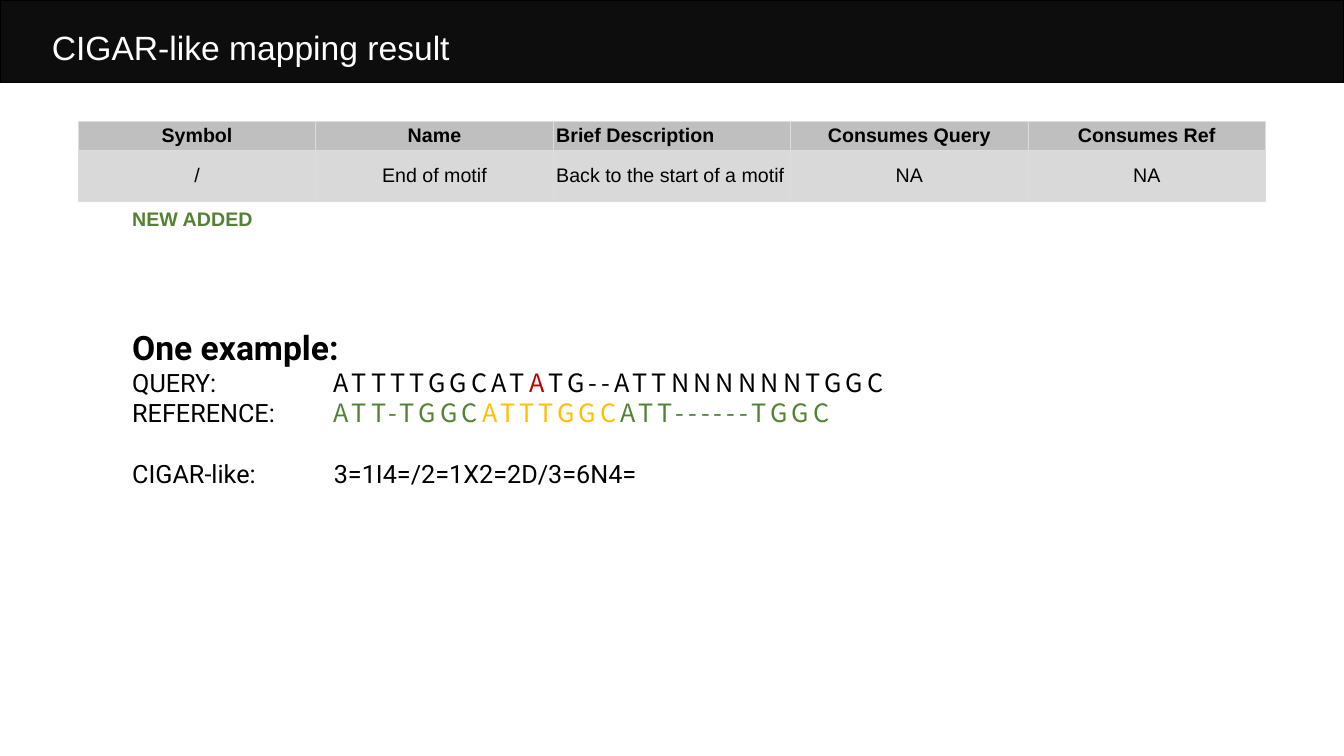
from lxml.etree import SubElement
from pptx import Presentation
from pptx.dml.color import RGBColor
from pptx.enum.shapes import MSO_SHAPE as Shape
from pptx.enum.text import MSO_ANCHOR as Anchor, PP_ALIGN as Align
from pptx.oxml.ns import qn
from pptx.util import Inches, Pt

BLACK = RGBColor(0x00, 0x00, 0x00)
WHITE = RGBColor(0xFF, 0xFF, 0xFF)
BANNER = RGBColor(0x0D, 0x0D, 0x0D)
HEADER_GREY = RGBColor(0xBF, 0xBF, 0xBF)
ROW_GREY = RGBColor(0xD9, 0xD9, 0xD9)
BORDER_GREY = RGBColor(0xDD, 0xDD, 0xDD)
GREEN = RGBColor(0x54, 0x82, 0x35)
RED = RGBColor(0xC0, 0x00, 0x00)
AMBER = RGBColor(0xFF, 0xC0, 0x00)

SANS = "Arial"
BODY = "Roboto"
SEQUENCE = "Noto Sans CJK SC"
LINE_HEIGHT = Pt(21.6)
TAB_STOPS = (Inches(1), Inches(2))


class SlideBuilder:
    def __init__(self, deck):
        self.width, self.height = deck.slide_width, deck.slide_height
        self.slide = deck.slides.add_slide(deck.slide_layouts[6])

    def across(self, percent):
        return round(self.width * percent / 100)

    def down(self, percent):
        return round(self.height * percent / 100)

    def place(self, left, top, width, height):
        return self.across(left), self.down(top), self.across(width), self.down(height)

    def style(self, span, size, color=BLACK, font=SANS, bold=False):
        span.font.size = Pt(size)
        span.font.name = font
        span.font.bold = bold
        span.font.color.rgb = color

    def banner(self, *area):
        box = self.slide.shapes.add_shape(Shape.RECTANGLE, *self.place(*area))
        box.shadow.inherit = False
        box.fill.solid()
        box.fill.fore_color.rgb = BANNER
        box.line.color.rgb = BLACK
        box.line.width = Pt(1)

    def text_box(self, *area):
        frame = self.slide.shapes.add_textbox(*self.place(*area)).text_frame
        frame.word_wrap = True
        return frame

    def label(self, text, area, size, color, bold=False):
        frame = self.text_box(*area)
        frame.text = text
        self.style(frame.paragraphs[0].runs[0], size, color, bold=bold)

    def tab_stops(self, para):
        stops = SubElement(para._p.get_or_add_pPr(), qn("a:tabLst"))
        for position in TAB_STOPS:
            SubElement(stops, qn("a:tab"), pos=str(position), algn="l")

    def sequence_line(self, frame, caption, parts):
        para = frame.add_paragraph()
        self.tab_stops(para)
        para.line_spacing = LINE_HEIGHT
        span = para.add_run()
        span.text = caption
        self.style(span, 18, font=BODY)
        for text, color in parts:
            span = para.add_run()
            span.text = text
            self.style(span, 18, color, SEQUENCE)
            span.font._element.set("spc", "300")
        return para

    def border(self, cell):
        properties = cell._tc.get_or_add_tcPr()
        for position, side in enumerate(("lnL", "lnR", "lnT", "lnB")):
            line = properties.makeelement(qn(f"a:{side}"), {"w": str(Pt(0.6))})
            fill = SubElement(line, qn("a:solidFill"))
            SubElement(fill, qn("a:srgbClr"), val=str(BORDER_GREY))
            properties.insert(position, line)

    def table(self, rows, area, row_heights, left_column):
        table = self.slide.shapes.add_table(len(rows), len(rows[0]), *self.place(*area)).table
        table.horz_banding = False
        for row, height in zip(table.rows, row_heights):
            row.height = self.down(height)
        for r, texts in enumerate(rows):
            for c, text in enumerate(texts):
                cell = table.cell(r, c)
                cell.text = text
                cell.fill.solid()
                cell.fill.fore_color.rgb = ROW_GREY if r else HEADER_GREY
                cell.vertical_anchor = Anchor.MIDDLE
                cell.margin_left = cell.margin_right = Inches(0.03)
                cell.margin_top = cell.margin_bottom = Inches(0.03)
                para = cell.text_frame.paragraphs[0]
                para.alignment = Align.LEFT if c == left_column else Align.CENTER
                self.style(para.runs[0], 14, bold=r == 0)
                self.border(cell)

    def example(self, heading, sequences, result, area):
        frame = self.text_box(*area)
        frame.text = heading
        title = frame.paragraphs[0]
        title.line_spacing = 2.0
        self.style(title.runs[0], 24, font=BODY, bold=True)
        for caption, parts in sequences:
            self.sequence_line(frame, caption, parts)
        self.sequence_line(frame, result, []).space_before = LINE_HEIGHT


def main():
    deck = Presentation()
    deck.slide_width, deck.slide_height = Inches(13.33), Inches(7.5)
    page = SlideBuilder(deck)
    page.banner(0, 0, 100, 10.93)
    page.label("CIGAR-like mapping result", (3.12, 2.93, 79.6, 6.67), 24, WHITE)
    page.table(
        [
            ["Symbol", "Name", "Brief Description", "Consumes Query", "Consumes Ref"],
            ["/", "End of motif", "Back to the start of a motif", "NA", "NA"],
        ],
        (5.83, 16, 88.33, 10.43),
        row_heights=(3.73, 6.7),
        left_column=2,
    )
    page.label("NEW ADDED", (9.1, 26.67, 10.65, 4.53), 14, GREEN, bold=True)
    page.example(
        "One example:",
        [
            ("QUERY:\t\t", [("ATTTTGGCAT", BLACK), ("A", RED), ("TG--ATTNNNNNNTGGC", BLACK)]),
            ("REFERENCE:\t", [("ATT-TGGC", GREEN), ("ATTTGGC", AMBER), ("ATT------TGGC", GREEN)]),
        ],
        "CIGAR-like:\t3=1I4=/2=1X2=2D/3=6N4=",
        (9.1, 37.25, 70.14, 28.27),
    )
    deck.save("out.pptx")


if __name__ == "__main__":
    main()
